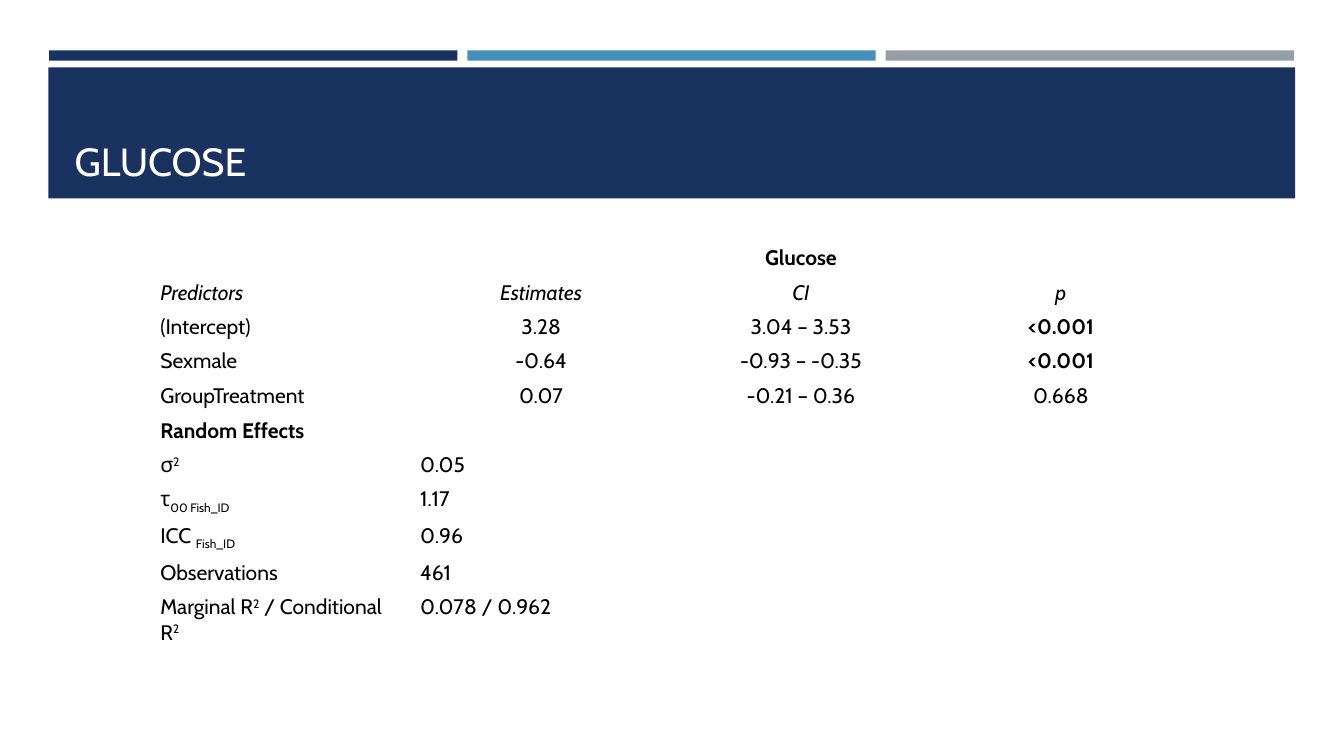
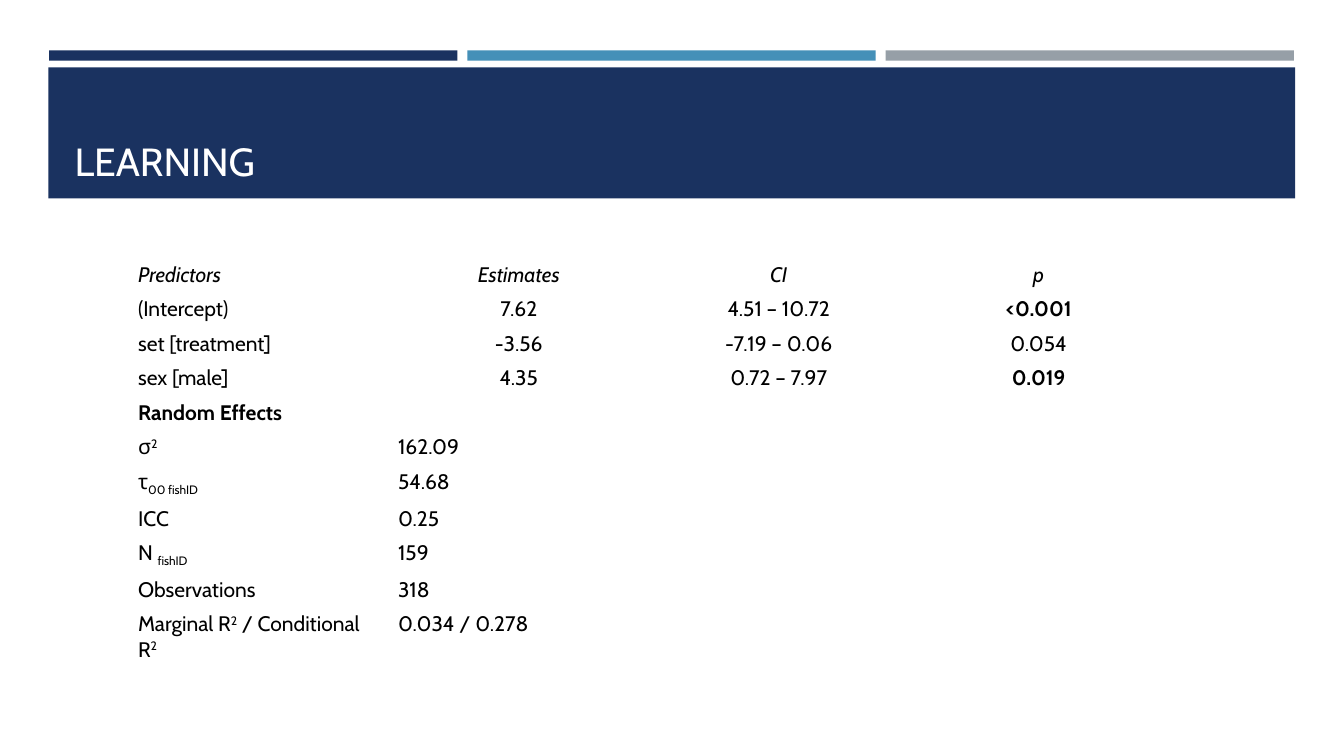
from dataclasses import dataclass
from typing import NamedTuple

from lxml.etree import SubElement
from pptx import Presentation
from pptx.dml.color import RGBColor as Rgb
from pptx.enum.shapes import MSO_SHAPE as Preset
from pptx.enum.text import MSO_ANCHOR as Anchor, PP_ALIGN as Align
from pptx.oxml.ns import qn
from pptx.util import Cm, Pt


# Theme
@dataclass(frozen=True)
class Theme:
    font: str = "Cabin"
    navy: Rgb = Rgb(0x1A, 0x32, 0x60)
    blue: Rgb = Rgb(0x45, 0x90, 0xB8)
    grey: Rgb = Rgb(0x96, 0x9F, 0xA7)
    white: Rgb = Rgb(0xFF, 0xFF, 0xFF)
    black: Rgb = Rgb(0x00, 0x00, 0x00)
    title_size: int = 28
    table_size: int = 15


THEME = Theme()
COLUMNS = 4
COLUMN_WIDTH = 6.55
ROW_HEIGHT = 0.87
TALL_ROW_HEIGHT = 1.52
CELL_MARGINS = {
    "margin_left": Cm(0.23),
    "margin_right": Cm(0.23),
    "margin_top": Cm(0.1),
    "margin_bottom": Cm(0.1),
}
RAISED, LOWERED = 30, -25


# Content model
class Piece(NamedTuple):
    text: str
    baseline: int = 0


class Entry(NamedTuple):
    wording: tuple[Piece, ...] = ()
    span: int = 1
    centred: bool = False
    middle: bool = False
    bold: bool = False
    italic: bool = False


Row = tuple[Entry, ...]


class ModelSlide(NamedTuple):
    title: str
    left: float
    top: float
    rows: list[Row]


# Row kinds
def outcome(name: str) -> Row:
    return (Entry(), Entry((Piece(name),), span=3, centred=True, middle=True, bold=True))


def header() -> Row:
    names = ("Predictors", "Estimates", "CI", "p")
    return tuple(
        Entry((Piece(name),), centred=i > 0, middle=True, italic=True)
        for i, name in enumerate(names)
    )


def predictor(name: str, estimate: str, interval: str, p: str, significant: bool) -> Row:
    return (
        Entry((Piece(name),)),
        Entry((Piece(estimate),), centred=True),
        Entry((Piece(interval),), centred=True),
        Entry((Piece(p),), centred=True, bold=significant),
    )


def section(name: str) -> Row:
    return (Entry((Piece(name),), span=COLUMNS, middle=True, bold=True),)


def statistic(value: str, *label: Piece) -> Row:
    return (Entry(label), Entry((Piece(value),), span=3))


def variance(value: str) -> Row:
    return statistic(value, Piece("σ"), Piece("2", RAISED))


def intercept_variance(value: str, group: str) -> Row:
    return statistic(value, Piece("τ"), Piece(f"00 {group}", LOWERED))


def r_squared(value: str) -> Row:
    square = Piece("2", RAISED)
    return statistic(value, Piece("Marginal R"), square, Piece(" / Conditional R"), square)


# Content
MODELS = [
    ModelSlide("GLUCOSE", 3.81, 6.07, [
        outcome("Glucose"),
        header(),
        predictor("(Intercept)", "3.28", "3.04 – 3.53", "<0.001", True),
        predictor("Sexmale", "-0.64", "-0.93 – -0.35", "<0.001", True),
        predictor("GroupTreatment", "0.07", "-0.21 – 0.36", "0.668", False),
        section("Random Effects"),
        variance("0.05"),
        intercept_variance("1.17", "Fish_ID"),
        statistic("0.96", Piece("ICC "), Piece("Fish_ID", LOWERED)),
        statistic("461", Piece("Observations")),
        r_squared("0.078 / 0.962"),
    ]),
    ModelSlide("LEARNING", 3.25, 6.5, [
        header(),
        predictor("(Intercept)", "7.62", "4.51 – 10.72", "<0.001", True),
        predictor("set [treatment]", "-3.56", "-7.19 – 0.06", "0.054", False),
        predictor("sex [male]", "4.35", "0.72 – 7.97", "0.019", True),
        section("Random Effects"),
        variance("162.09"),
        intercept_variance("54.68", "fishID"),
        statistic("0.25", Piece("ICC")),
        statistic("159", Piece("N "), Piece("fishID", LOWERED)),
        statistic("318", Piece("Observations")),
        r_squared("0.034 / 0.278"),
    ]),
]


# Drawing
def apply(target, values: dict) -> None:
    for name, value in values.items():
        setattr(target, name, value)


def add_text(paragraph, piece: Piece, size: int, colour: Rgb, bold=False, italic=False) -> None:
    run = paragraph.add_run()
    run.text = piece.text
    apply(run.font, {"name": THEME.font, "size": Pt(size), "bold": bold, "italic": italic})
    run.font.color.rgb = colour
    if piece.baseline:
        run._r.get_or_add_rPr().set("baseline", str(piece.baseline * 1000))


def draw_band(slide, left: float, top: float, width: float, height: float, colour: Rgb) -> None:
    band = slide.shapes.add_shape(Preset.RECTANGLE, Cm(left), Cm(top), Cm(width), Cm(height))
    band.shadow.inherit = False
    band.fill.solid()
    band.fill.fore_color.rgb = colour
    band.line.fill.background()


def draw_heading(slide, title: str) -> None:
    for i, colour in enumerate((THEME.navy, THEME.blue, THEME.grey)):
        draw_band(slide, 1.24 + i * 10.54, 1.27, 10.29, 0.26, colour)
    draw_band(slide, 1.22, 1.7, 31.42, 3.3, THEME.navy)
    heading = slide.shapes.add_textbox(Cm(1.63), Cm(1.96), Cm(30.63), Cm(2.82)).text_frame
    apply(heading, {"word_wrap": True, "vertical_anchor": Anchor.BOTTOM})
    add_text(heading.paragraphs[0], Piece(title), THEME.title_size, THEME.white)


def fill_entry(cell, entry: Entry) -> None:
    cell.vertical_anchor = Anchor.MIDDLE if entry.middle else Anchor.TOP
    paragraph = cell.text_frame.paragraphs[0]
    paragraph.alignment = Align.CENTER if entry.centred else Align.LEFT
    for piece in entry.wording:
        add_text(paragraph, piece, THEME.table_size, THEME.black, entry.bold, entry.italic)


def draw_results(slide, model: ModelSlide) -> None:
    heights = [ROW_HEIGHT] * (len(model.rows) - 1) + [TALL_ROW_HEIGHT]
    results = slide.shapes.add_table(
        len(heights), COLUMNS, Cm(model.left), Cm(model.top),
        Cm(COLUMNS * COLUMN_WIDTH), Cm(sum(heights)),
    ).table
    apply(results, {"first_row": False, "horz_banding": False})
    for column in results.columns:
        column.width = Cm(COLUMN_WIDTH)
    for row, height in zip(results.rows, heights):
        row.height = Cm(height)

    for r, entries in enumerate(model.rows):
        c = 0
        for entry in entries:
            cell = results.cell(r, c)
            if entry.span > 1:
                cell.merge(results.cell(r, c + entry.span - 1))
            fill_entry(cell, entry)
            c += entry.span

    for cell in results.iter_cells():
        apply(cell, CELL_MARGINS)
        cell.fill.solid()
        cell.fill.fore_color.rgb = THEME.white
        # Keeps empty cells from stretching their row
        if not cell.text:
            paragraph = cell.text_frame.paragraphs[0]._p
            SubElement(paragraph, qn("a:endParaRPr"), sz=str(THEME.table_size * 100))


def main() -> None:
    deck = Presentation()
    apply(deck, {"slide_width": Cm(33.87), "slide_height": Cm(19.05)})
    blank = deck.slide_layouts[6]
    for model in MODELS:
        slide = deck.slides.add_slide(blank)
        draw_heading(slide, model.title)
        draw_results(slide, model)
    deck.save("out.pptx")


if __name__ == "__main__":
    main()
